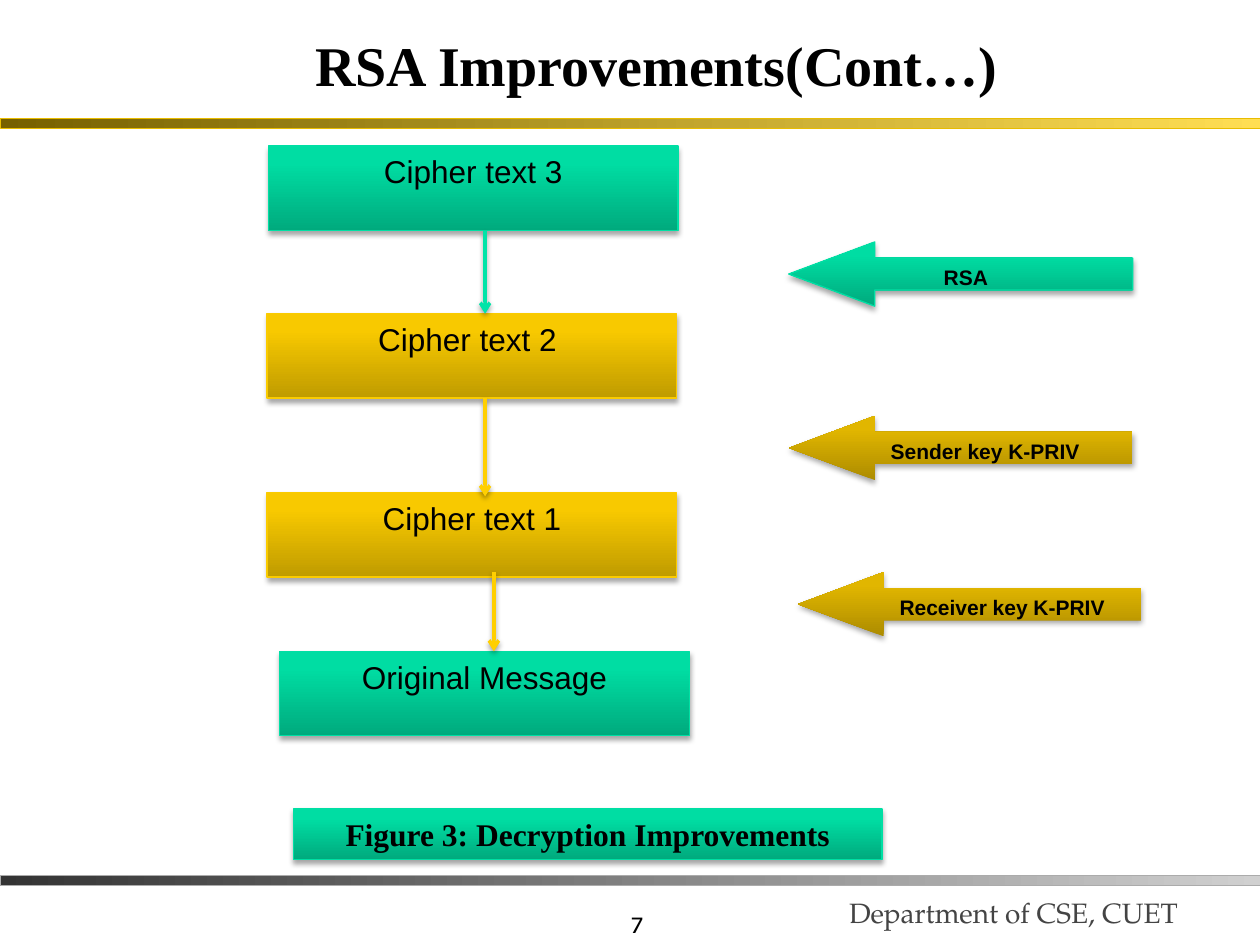
from lxml.etree import SubElement
from pptx import Presentation
from pptx.dml.color import RGBColor
from pptx.enum.shapes import MSO_CONNECTOR, MSO_SHAPE as Shape
from pptx.enum.text import MSO_ANCHOR as Anchor, PP_ALIGN as Align
from pptx.oxml.ns import qn
from pptx.util import Inches, Pt

# Colours: gradients run from the first stop to the last
COLORS = {"black": "000000", "footer": "444444", "gold rule": "E8BC00", "grey rule": "ABABAB",
          "green edge": "00DFA4", "gold edge": "FACB00",
          "green link": "00E4A8", "gold link": "FFCF01"}
GRADIENTS = {
    "green": [(0, "00AA7D"), (80, "00DDA3"), (100, "00DEA4")],
    "gold": [(0, "BF9B00"), (80, "F8C900"), (100, "F9CA00")],
    "dark gold": [(0, "AD8C00"), (80, "E1B600"), (100, "E2B700")],
    "gold rule": [(0, "766000"), (100, "FFDE53")],
    "grey rule": [(0, "333333"), (100, "D0D0D0")],
}

# Content
TITLE = "RSA Improvements(Cont…)"
CAPTION = "Figure 3: Decryption Improvements"
FOOTER = "Department of CSE, CUET"
PAGE_NUMBER = "7"
RULES = [("grey rule", 6.95), ("gold rule", 0.94)]
STEPS = [  # text, left, top, colour
    ("Cipher text 3", 2.13, 1.16, "green"),
    ("Cipher text 2 ", 2.12, 2.49, "gold"),
    ("Cipher text 1", 2.12, 3.91, "gold"),
    ("Original Message", 2.22, 5.17, "green"),
]
KEYS = [  # text, left, top, text indent, gradient, edge
    ("RSA", 6.26, 1.92, 0.79, "green", "green edge"),
    ("Sender key K-PRIV", 6.26, 3.3, 0.37, "dark gold", None),
    ("Receiver key K-PRIV", 6.33, 4.54, 0.37, "dark gold", None),
]
LINKS = [  # x, top, bottom, colour
    (3.85, 1.83, 2.49, "green link"),
    (3.85, 3.16, 3.94, "gold link"),
    (3.92, 4.54, 5.17, "gold link"),
]
STEP_SIZE = (3.25, 0.67)
KEY_SIZE = (2.73, 0.51)


def rgb(name):
    return RGBColor.from_string(COLORS[name])


def add_shadow(effects, opacity, distance):
    shadow = SubElement(effects, qn("a:outerShdw"), blurRad=str(Pt(3.1)),
                        dist=str(Pt(distance)), dir="5400000", rotWithShape="0")
    color = SubElement(shadow, qn("a:srgbClr"), val=COLORS["black"])
    SubElement(color, qn("a:alpha"), val=str(opacity * 1000))


def write(shape, text, font, size, align, bold=False, color="black", anchor=Anchor.TOP):
    frame = shape.text_frame
    frame.word_wrap = True
    frame.vertical_anchor = anchor
    para = frame.paragraphs[0]
    para.text = text
    para.alignment = align
    para.font.name, para.font.size, para.font.bold = font, Pt(size), bold
    para.font.color.rgb = rgb(color)
    return para


def add_block(slide, kind, area, gradient, edge, angle=90, width=0.75, shadow=True):
    shape = slide.shapes.add_shape(kind, *map(Inches, area))
    shape.fill.gradient()
    shape.fill.gradient_angle = angle
    stops = shape._element.spPr.find(qn("a:gradFill")).find(qn("a:gsLst"))
    for stop in list(stops):
        stops.remove(stop)
    for position, color in GRADIENTS[gradient]:
        stop = SubElement(stops, qn("a:gs"), pos=str(position * 1000))
        SubElement(stop, qn("a:srgbClr"), val=color)
    if edge:
        shape.line.color.rgb = rgb(edge)
        shape.line.width = Pt(width)
    else:
        shape.line.fill.background()
    shape.shadow.inherit = False
    if shadow:
        add_shadow(shape._element.spPr.find(qn("a:effectLst")), 35, 1.8)
    return shape


def add_link(slide, x, top, bottom, color):
    link = slide.shapes.add_connector(MSO_CONNECTOR.STRAIGHT, Inches(x), Inches(top),
                                      Inches(x), Inches(bottom))
    link.line.color.rgb = rgb(color)
    link.line.width = Pt(2)
    SubElement(link.line._get_or_add_ln(), qn("a:tailEnd"), type="arrow")
    add_shadow(SubElement(link._element.spPr, qn("a:effectLst")), 38, 1.6)


def add_label(slide, area, *style, **options):
    box = slide.shapes.add_textbox(*map(Inches, area))
    write(box, *style, anchor=Anchor.BOTTOM, **options)


def main():
    deck = Presentation()
    deck.slide_width, deck.slide_height = Inches(10), Inches(7.5)
    slide = deck.slides.add_slide(deck.slide_layouts[5])

    # Title
    title = slide.shapes.title
    title.left, title.top, title.width, title.height = map(Inches, (1, 0.19, 8.42, 0.64))
    write(title, TITLE, "Times New Roman", 32, Align.CENTER, bold=True, anchor=Anchor.MIDDLE)

    # Footer and rules
    add_label(slide, (3.12, 7, 2.08, 0.5), PAGE_NUMBER, "Karla", 14, Align.RIGHT)
    add_label(slide, (6.64, 6.8, 3.44, 0.62), FOOTER, "TeX Gyre Pagella", 16, Align.LEFT,
              color="footer")
    for name, top in RULES:
        add_block(slide, Shape.RECTANGLE, (0, top, 10, 0.08), name, name,
                  angle=0, width=0.25, shadow=False)

    # Decryption steps
    for text, left, top, color in STEPS:
        step = add_block(slide, Shape.FLOWCHART_PROCESS, (left, top, *STEP_SIZE),
                         color, f"{color} edge")
        write(step, text, "Arial", 18, Align.CENTER)

    # Key arrows
    for text, left, top, indent, gradient, edge in KEYS:
        arrow = add_block(slide, Shape.LEFT_ARROW, (left, top, *KEY_SIZE), gradient, edge)
        arrow.adjustments[0], arrow.adjustments[1] = 0.5, 1.34
        para = write(arrow, text, "Arial", 12, Align.LEFT, bold=True)
        para._p.get_or_add_pPr().set("marL", str(Inches(indent)))

    # Links between steps
    for link in LINKS:
        add_link(slide, *link)

    # Caption
    caption = add_block(slide, Shape.RECTANGLE, (2.33, 6.42, 4.67, 0.4), "green", "green edge")
    write(caption, CAPTION, "Times New Roman", 18, Align.CENTER, bold=True)

    deck.save("out.pptx")


if __name__ == "__main__":
    main()
